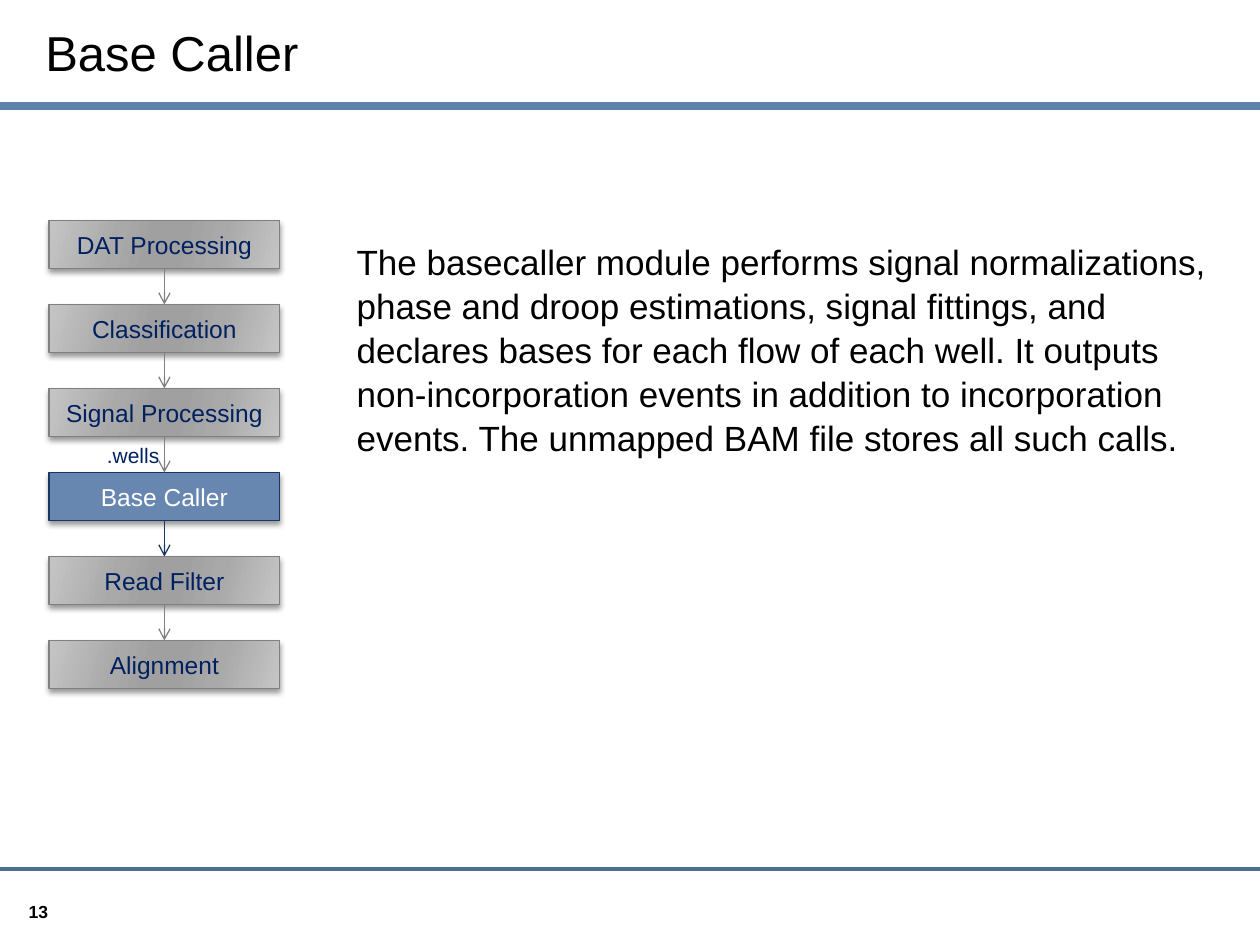
"""Build the Base Caller slide with its processing pipeline."""
from dataclasses import dataclass

from lxml import etree
from pptx import Presentation
from pptx.dml.color import RGBColor
from pptx.enum.shapes import MSO_CONNECTOR, MSO_SHAPE
from pptx.enum.text import MSO_ANCHOR, MSO_AUTO_SIZE, PP_ALIGN
from pptx.oxml.ns import qn
from pptx.util import Inches, Pt

STRAIGHT = MSO_CONNECTOR.STRAIGHT
RECTANGLE = MSO_SHAPE.RECTANGLE
TOP, MIDDLE, BOTTOM = MSO_ANCHOR.TOP, MSO_ANCHOR.MIDDLE, MSO_ANCHOR.BOTTOM
LEFT, CENTER = PP_ALIGN.LEFT, PP_ALIGN.CENTER
NO_AUTOFIT = MSO_AUTO_SIZE.NONE

FONT = "Arial"
COLORS = {
    "text": "000000", "navy": "002060", "white": "FFFFFF",
    "header_rule": "5C81AA", "footer_rule": "4F6F92",
    "gray_line": "808080", "active_fill": "6887B0", "active_line": "17375E",
    "light": "C5C5C5", "medium": "A9A9A9", "dark": "A0A0A0",
}
GRADIENT_STOPS = [(0, "light"), (30, "medium"), (45, "dark"),
                  (55, "dark"), (73, "medium"), (100, "light")]
SLIDE_WIDTH, SLIDE_HEIGHT = 10, 7.5
STEP_LEFT, STEP_TOP = 0.39, 1.75
STEP_WIDTH, STEP_HEIGHT = 1.83, 0.38
STEP_PITCH = 2 / 3
BODY_TEXT = (
    "The basecaller module performs signal normalizations, phase and droop "
    "estimations, signal fittings, and declares bases for each flow of each "
    "well. It outputs non-incorporation events in addition to incorporation "
    "events. The unmapped BAM file stores all such calls."
)


@dataclass(frozen=True)
class Area:
    """Position and size in inches."""
    left: float
    top: float
    width: float
    height: float

    def lengths(self) -> list:
        """Return the four lengths as slide units."""
        return [Inches(v) for v in (self.left, self.top, self.width, self.height)]


@dataclass(frozen=True)
class Step:
    """One stage of the pipeline."""
    label: str
    active: bool = False

    @property
    def line_color(self) -> str:
        """Return the outline color name."""
        return "active_line" if self.active else "gray_line"


STEPS = [Step("DAT Processing"), Step("Classification"), Step("Signal Processing"),
         Step("Base Caller", active=True), Step("Read Filter"), Step("Alignment")]


def rgb(name: str) -> RGBColor:
    """Look up a named color."""
    return RGBColor.from_string(COLORS[name])


def write(shape, text: str, size: float, color: str, align=LEFT,
          anchor=TOP, bold: bool = False, wrap: bool = True):
    """Set and format the single paragraph of a shape."""
    frame = shape.text_frame
    frame.text = text
    frame.word_wrap = wrap
    frame.auto_size = NO_AUTOFIT
    frame.vertical_anchor = anchor
    paragraph = frame.paragraphs[0]
    paragraph.alignment = align
    font = paragraph.runs[0].font
    font.name, font.size, font.bold = FONT, Pt(size), bold
    font.color.rgb = rgb(color)
    return paragraph


def place(shape, area: Area) -> None:
    """Move and size a placeholder."""
    shape.left, shape.top, shape.width, shape.height = area.lengths()


def add_text(slide, area: Area, text: str, size: float, color: str, **options) -> None:
    """Add a text box."""
    write(slide.shapes.add_textbox(*area.lengths()), text, size, color, **options)


def add_line(shapes, start: tuple, end: tuple, color: str, width: float):
    """Add a straight line without shadow."""
    line = shapes.add_connector(STRAIGHT, *[Inches(v) for v in (*start, *end)])
    line.line.color.rgb = rgb(color)
    line.line.width = Pt(width)
    etree.SubElement(line._element.spPr, qn("a:effectLst"))
    return line


def add_arrow(shapes, upper, lower, color: str) -> None:
    """Join the bottom of one step to the top of the next."""
    arrow = add_line(shapes, (0, 0), (0, 0), color, 0.75)
    arrow.begin_connect(upper, 2)
    arrow.end_connect(lower, 0)
    outline = arrow._element.spPr.find(qn("a:ln"))
    etree.SubElement(outline, qn("a:tailEnd"), type="arrow")


def fill_gradient(shape) -> None:
    """Apply the gray sheen of an inactive step."""
    shape.fill.gradient()
    shape.fill.gradient_angle = 344
    stops = shape._element.spPr.find(".//" + qn("a:gsLst"))
    for stop in list(stops):
        stops.remove(stop)
    for position, color in GRADIENT_STOPS:
        stop = etree.SubElement(stops, qn("a:gs"), pos=str(position * 1000))
        etree.SubElement(stop, qn("a:srgbClr"), val=COLORS[color])


def add_shadow(shape) -> None:
    """Give a step a soft shadow below."""
    shape.shadow.inherit = False
    effects = shape._element.spPr.find(qn("a:effectLst"))
    shadow = etree.SubElement(effects, qn("a:outerShdw"), blurRad=str(Pt(3)),
                              dist=str(Pt(2)), dir="5400000", rotWithShape="0")
    color = etree.SubElement(shadow, qn("a:srgbClr"), val=COLORS["text"])
    etree.SubElement(color, qn("a:alpha"), val="40000")


def add_step(shapes, step: Step, row: int):
    """Draw one step in its row."""
    area = Area(STEP_LEFT, STEP_TOP + row * STEP_PITCH, STEP_WIDTH, STEP_HEIGHT)
    box = shapes.add_shape(RECTANGLE, *area.lengths())
    if step.active:
        box.fill.solid()
        box.fill.fore_color.rgb = rgb("active_fill")
    else:
        fill_gradient(box)
    box.line.color.rgb = rgb(step.line_color)
    box.line.width = Pt(0.75)
    add_shadow(box)
    write(box, step.label, 14, "white" if step.active else "navy", CENTER, MIDDLE)
    return box


def add_pipeline(slide) -> None:
    """Draw the steps and the arrows between them as a group."""
    shapes = slide.shapes.add_group_shape().shapes
    boxes = [add_step(shapes, step, row) for row, step in enumerate(STEPS)]
    for step, upper, lower in zip(STEPS, boxes, boxes[1:]):
        add_arrow(shapes, upper, lower, step.line_color)


def fill_placeholders(slide) -> None:
    """Write the title and the description."""
    title, body = slide.shapes.title, slide.placeholders[1]
    place(title, Area(0.26, 0.05, 9.5, 0.77))
    write(title, "Base Caller", 28, "text", anchor=MIDDLE).line_spacing = 0.95
    place(body, Area(2.52, 1.84, 7.24, 3.79))
    paragraph = write(body, BODY_TEXT, 20, "text")
    paragraph.line_spacing = 1.05
    paragraph.space_before, paragraph.space_after = Pt(0), Pt(6)
    properties = paragraph._p.get_or_add_pPr()
    properties.set("marL", str(Inches(0.21)))
    properties.set("indent", "0")
    etree.SubElement(properties, qn("a:buNone"))


def main() -> None:
    """Build and save the presentation."""
    presentation = Presentation()
    presentation.slide_width = Inches(SLIDE_WIDTH)
    presentation.slide_height = Inches(SLIDE_HEIGHT)
    slide = presentation.slides.add_slide(presentation.slide_layouts[1])
    add_line(slide.shapes, (0, 0.84), (SLIDE_WIDTH, 0.84), "header_rule", 4.5)
    add_line(slide.shapes, (0, 6.9), (SLIDE_WIDTH, 6.9), "footer_rule", 2.25)
    add_text(slide, Area(0.13, 6.98, 1.43, 0.39), "13", 10, "text",
             anchor=BOTTOM, bold=True)
    fill_placeholders(slide)
    add_pipeline(slide)
    add_text(slide, Area(0.75, 3.46, 0.62, 0.3), ".wells", 12, "navy", wrap=False)
    presentation.save("out.pptx")


if __name__ == "__main__":
    main()
